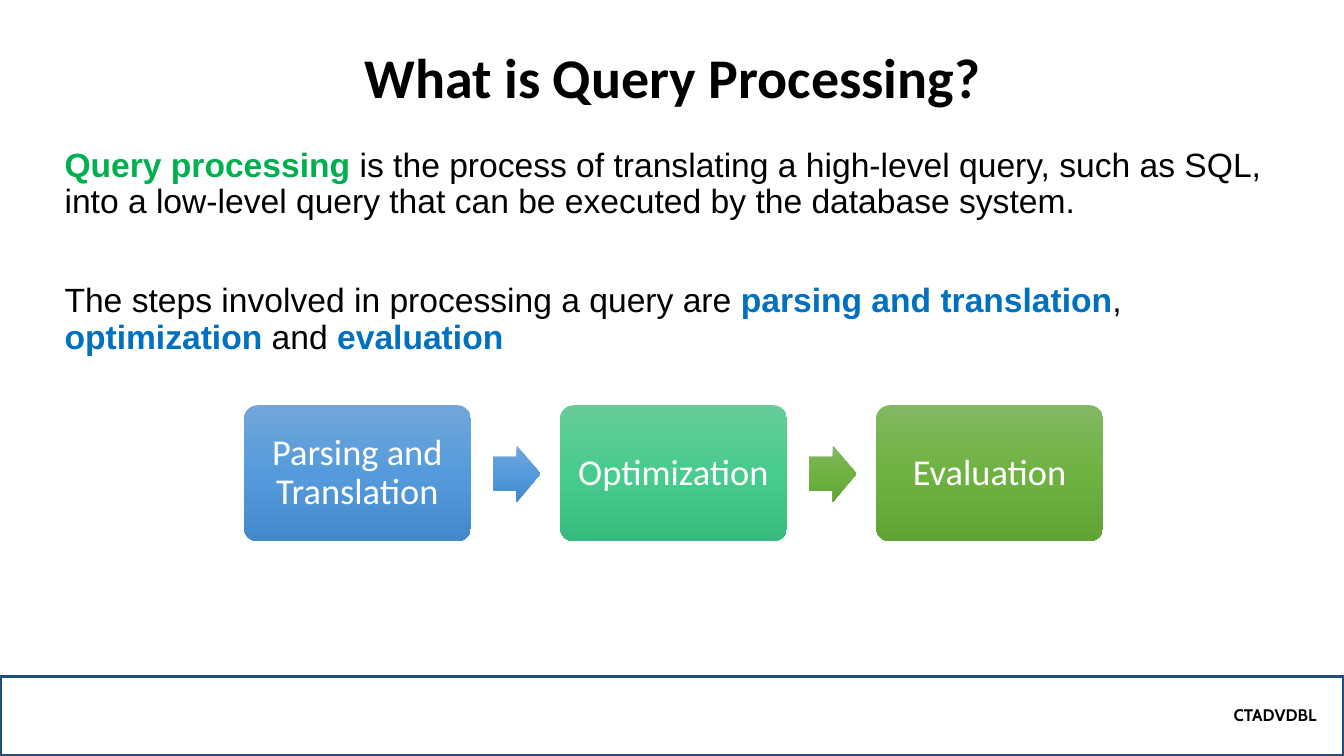
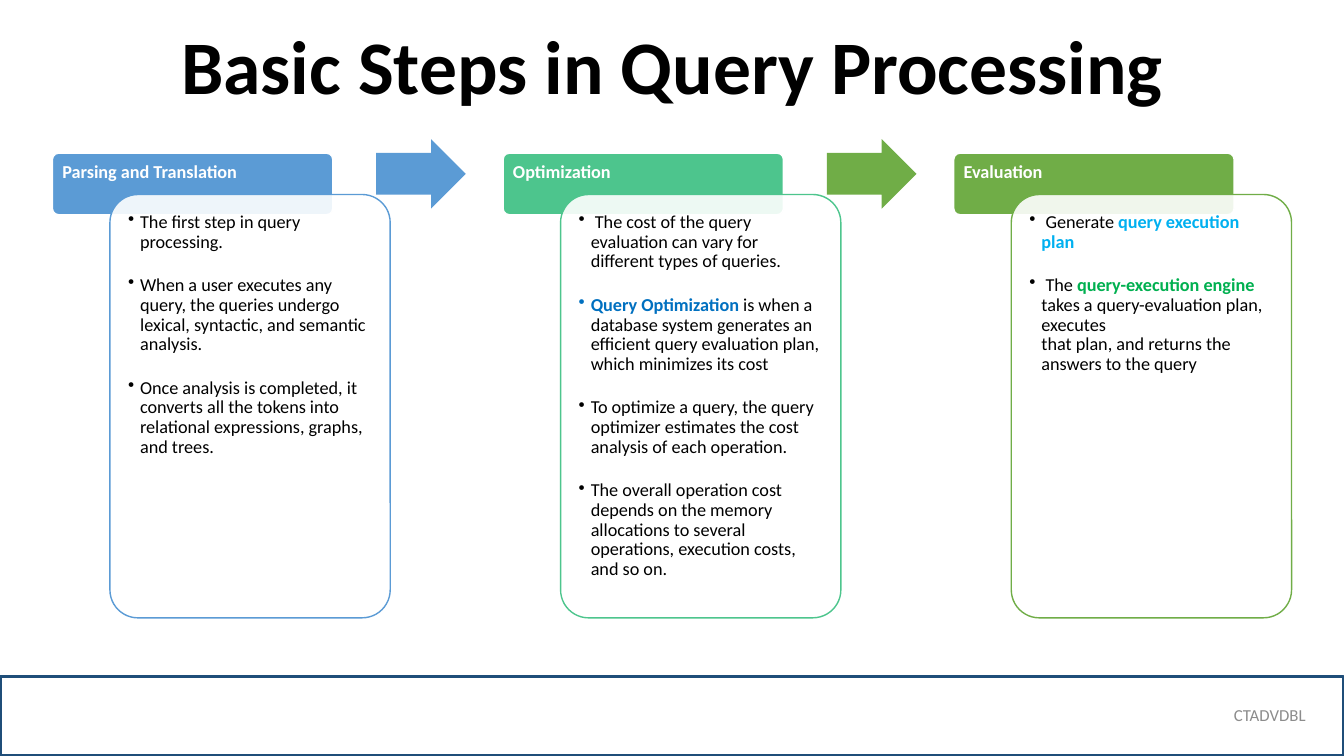
"""Build two slides on the steps of query processing."""
from lxml import etree
from pptx import Presentation
from pptx.dml.color import RGBColor
from pptx.enum import shapes, text
from pptx.oxml.ns import qn
from pptx.util import Inches, Pt

BLACK = RGBColor(0x00, 0x00, 0x00)
WHITE = RGBColor(0xFF, 0xFF, 0xFF)
GRAY = RGBColor(0x8C, 0x8C, 0x8C)
NAVY = RGBColor(0x1F, 0x4E, 0x79)
BLUE = RGBColor(0x5B, 0x9B, 0xD5)
TEAL = RGBColor(0x4D, 0xC5, 0x8D)
GREEN = RGBColor(0x70, 0xAD, 0x47)
KEY_GREEN = RGBColor(0x00, 0xB0, 0x50)
KEY_BLUE = RGBColor(0x00, 0x70, 0xC0)
KEY_CYAN = RGBColor(0x00, 0xB0, 0xF0)
GRADIENTS = {
    BLUE: [RGBColor(0x71, 0xA6, 0xDB), RGBColor(0x55, 0x9B, 0xDB), RGBColor(0x44, 0x8A, 0xCA)],
    TEAL: [RGBColor(0x67, 0xCC, 0x9A), RGBColor(0x47, 0xCB, 0x8E), RGBColor(0x39, 0xBB, 0x7F)],
    GREEN: [RGBColor(0x81, 0xB8, 0x61), RGBColor(0x6F, 0xB2, 0x42), RGBColor(0x62, 0xA3, 0x36)],
}

FOOTER = "CTADVDBL"
INTRO = [
    [("Query processing", KEY_GREEN),
     " is the process of translating a high-level query, such as SQL, into a "
     "low-level query that can be executed by the database system."],
    ["The steps involved in processing a query are ",
     ("parsing and translation", KEY_BLUE), ", ", ("optimization", KEY_BLUE),
     " and ", ("evaluation", KEY_BLUE)],
]
STEPS = [
    ("Parsing and Translation", BLUE, [
        ["The first step in query processing."],
        ["When a user executes any query, the queries undergo lexical, syntactic, "
         "and semantic analysis."],
        ["Once analysis is completed, it converts all the tokens into relational "
         "expressions, graphs, and trees."],
    ]),
    ("Optimization", TEAL, [
        [" The cost of the query evaluation can vary for different types of queries."],
        [("Query Optimization", KEY_BLUE),
         " is when a database system generates an efficient query evaluation plan, "
         "which minimizes its cost"],
        ["To optimize a query, the query optimizer estimates the cost analysis of "
         "each operation."],
        ["The overall operation cost depends on the memory allocations to several "
         "operations, execution costs, and so on."],
    ]),
    ("Evaluation", GREEN, [
        [" Generate ", ("query execution plan", KEY_CYAN)],
        [" The ", ("query-execution engine", KEY_GREEN),
         " takes a query-evaluation plan, executes\nthat plan, and returns the "
         "answers to the query"],
    ]),
]
ARROW_COLORS = [BLUE, GREEN]


def write(sp, paragraphs, size, font="Calibri", color=BLACK, bold=False,
          align=text.PP_ALIGN.LEFT, anchor=text.MSO_ANCHOR.TOP, margins=None,
          gap=0, bullet=False):
    """Fill a shape with paragraphs made of plain and highlighted runs."""
    tf = sp.text_frame
    tf.word_wrap = True
    tf.auto_size = text.MSO_AUTO_SIZE.NONE
    tf.vertical_anchor = anchor
    if margins:
        tf.margin_left, tf.margin_top, tf.margin_right, tf.margin_bottom = map(Inches, margins)
    for i, parts in enumerate(paragraphs):
        p = tf.add_paragraph() if i else tf.paragraphs[0]
        if bullet:
            pPr = p._p.get_or_add_pPr()
            pPr.set("marL", str(Inches(0.12)))
            pPr.set("indent", str(-Inches(0.12)))
            etree.SubElement(pPr, qn("a:buChar")).set("char", "•")
        p.alignment = align
        p.line_spacing = 0.9
        p.space_before = Pt(gap if i else 0)
        for part in parts:
            plain = isinstance(part, str)
            words, ink = (part, color) if plain else part
            for j, line in enumerate(words.split("\n")):
                if j:
                    p.add_line_break()
                r = p.add_run()
                r.text = line
                r.font.name = font
                r.font.size = Pt(size)
                r.font.bold = bold if plain else True
                r.font.color.rgb = ink


def place(sp, x, y, w, h):
    """Move and size a placeholder."""
    sp.left, sp.top, sp.width, sp.height = map(Inches, (x, y, w, h))


def add_box(s, kind, x, y, w, h, fill=None, line=None, weight=1, adjust=()):
    """Add a preset shape with a flat fill and an optional outline."""
    sp = s.shapes.add_shape(kind, *map(Inches, (x, y, w, h)))
    sp.shadow.inherit = False
    for i, value in enumerate(adjust):
        sp.adjustments[i] = value
    if fill is None:
        sp.fill.background()
    else:
        sp.fill.solid()
        sp.fill.fore_color.rgb = fill
    if line is None:
        sp.line.fill.background()
    else:
        sp.line.color.rgb = line
        sp.line.width = Pt(weight)
    return sp


def add_round(s, *box, **style):
    """Add a rounded rectangle."""
    return add_box(s, shapes.MSO_SHAPE.ROUNDED_RECTANGLE, *box, adjust=(0.1,), **style)


def add_arrow(s, *box, **style):
    """Add a block arrow pointing right."""
    return add_box(s, shapes.MSO_SHAPE.RIGHT_ARROW, *box, adjust=(0.6, 0.5), **style)


def shade(sp, color):
    """Give a shape the three-stop vertical gradient of a step colour."""
    sp.fill.gradient()
    sp.fill.gradient_angle = 270
    stops = sp._element.spPr.find(qn("a:gradFill")).find(qn("a:gsLst"))
    for stop in list(stops):
        stops.remove(stop)
    for i, rgb in enumerate(GRADIENTS[color]):
        stop = etree.SubElement(stops, qn("a:gs"), pos=str(i * 50000))
        etree.SubElement(stop, qn("a:srgbClr"), val=str(rgb))


def add_slide(prs, layout, title, title_size, footer_right, **footer_style):
    """Add a slide with the shared title and footer band."""
    s = prs.slides.add_slide(prs.slide_layouts[layout])
    place(s.shapes.title, 1.67, 0.21, 10, 0.94)
    write(s.shapes.title, [[title]], title_size, bold=True,
          align=text.PP_ALIGN.CENTER, anchor=text.MSO_ANCHOR.BOTTOM)
    band = add_box(s, shapes.MSO_SHAPE.RECTANGLE, 0, 6.71, 13.33, 0.79, line=NAVY, weight=2.25)
    write(band, [[FOOTER]], 12, align=text.PP_ALIGN.RIGHT, anchor=text.MSO_ANCHOR.MIDDLE,
          margins=(0.1, 0.05, footer_right, 0.05), **footer_style)
    return s


def build_intro(prs):
    """Define query processing and show its three steps."""
    s = add_slide(prs, 0, "What is Query Processing?", 40, 0.27, font="Cabin", bold=True)
    body = s.placeholders[1]
    place(body, 0.54, 1.42, 12.25, 2.3)
    write(body, INTRO, 24, font="Arial", gap=45)
    left, pitch = 2.42, 3.135
    for i, (name, color, _) in enumerate(STEPS):
        x = left + i * pitch
        box = add_round(s, x, 4.02, 2.25, 1.35)
        shade(box, color)
        write(box, [[name]], 26, color=WHITE, align=text.PP_ALIGN.CENTER,
              anchor=text.MSO_ANCHOR.MIDDLE, margins=(0.11,) * 4)
        if i < len(ARROW_COLORS):
            shade(add_arrow(s, x + 2.47, 4.42, 0.47, 0.56), ARROW_COLORS[i])


def build_steps(prs):
    """Describe each step in a card under its heading."""
    s = add_slide(prs, 5, "Basic Steps in Query Processing", 54, 0.38, color=GRAY)
    left, pitch = 0.52, 4.47
    for i, (name, color, points) in enumerate(STEPS):
        x = left + i * pitch
        heading = add_round(s, x, 1.52, 2.78, 0.61, fill=color, line=WHITE)
        write(heading, [[name]], 13, color=WHITE, bold=True, margins=(0.08, 0.08, 0.08, 0.05))
        card = add_round(s, x + 0.57, 1.93, 2.78, 4.2, fill=WHITE, line=color)
        tint = card._element.spPr.find(qn("a:solidFill"))[0]
        etree.SubElement(tint, qn("a:alpha"), val="90000")
        write(card, points, 13, margins=(0.1,) * 4, gap=17, bullet=True)
        if i < len(ARROW_COLORS):
            add_arrow(s, x + 3.21, 1.38, 0.89, 0.69, fill=ARROW_COLORS[i])


def main():
    """Create and save the presentation."""
    prs = Presentation()
    prs.slide_width, prs.slide_height = Inches(13.33), Inches(7.5)
    build_intro(prs)
    build_steps(prs)
    prs.save("out.pptx")


if __name__ == "__main__":
    main()
